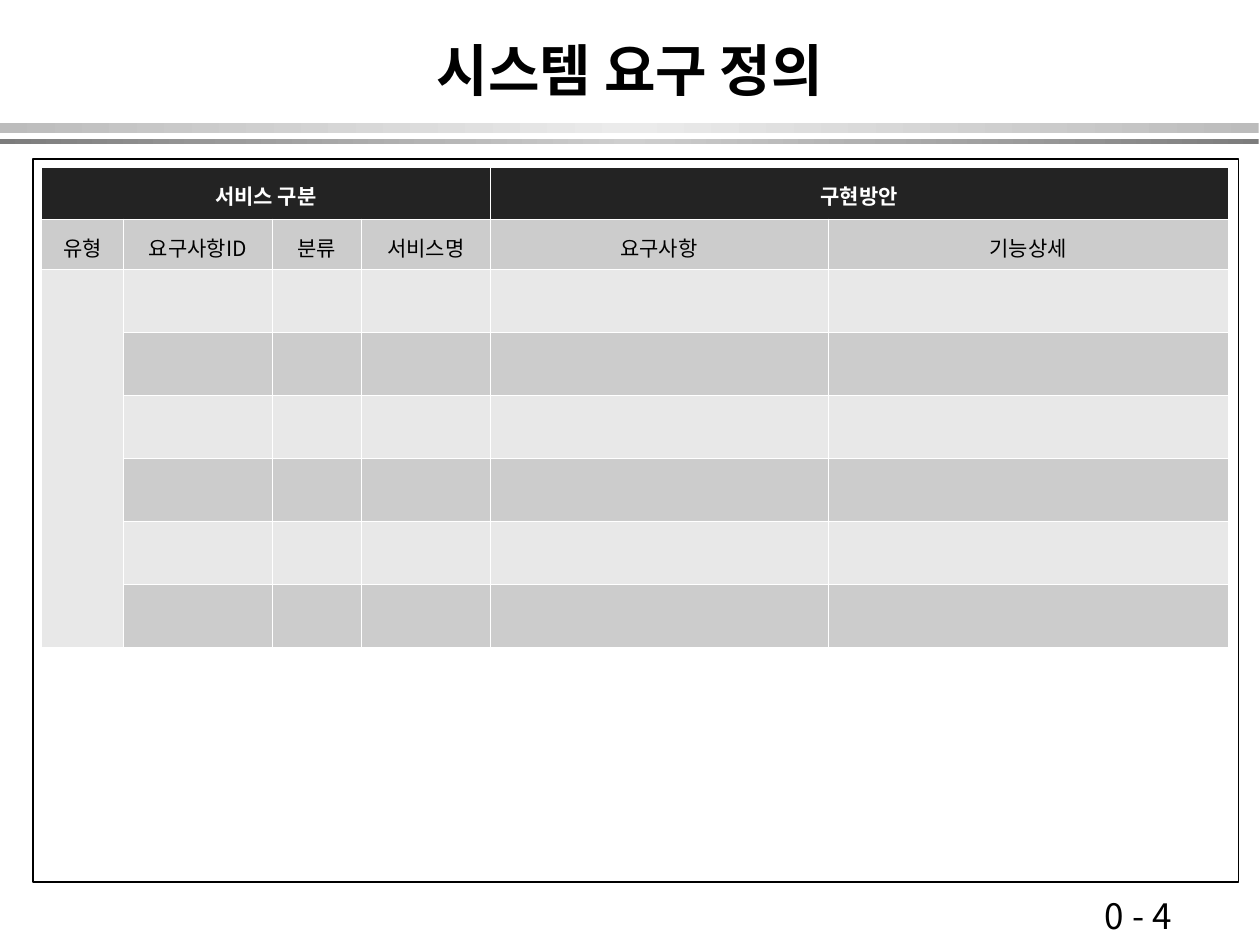
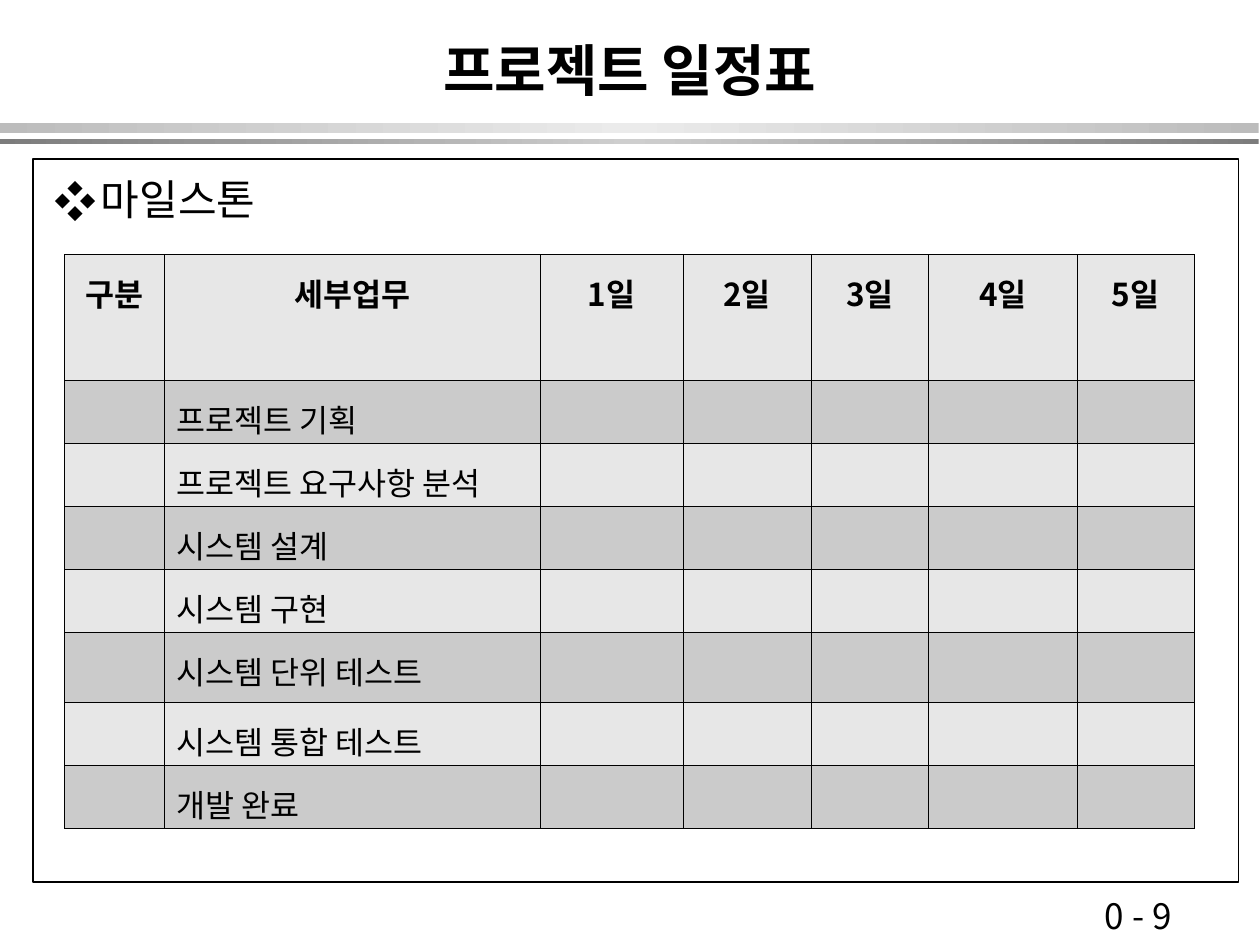
from copy import deepcopy

from lxml import etree
from pptx import Presentation
from pptx.dml.color import RGBColor
from pptx.enum.shapes import MSO_SHAPE
from pptx.enum.text import MSO_ANCHOR, MSO_AUTO_SIZE, PP_ALIGN
from pptx.oxml.ns import qn
from pptx.util import Inches, Pt

RECT = MSO_SHAPE.RECTANGLE
LEFT, CENTER = PP_ALIGN.LEFT, PP_ALIGN.CENTER
TOP, MIDDLE = MSO_ANCHOR.TOP, MSO_ANCHOR.MIDDLE
NO_FIT = MSO_AUTO_SIZE.NONE
CONTENT_LAYOUT, TITLE_LAYOUT = 1, 5

FONT = "Noto Sans CJK KR"
BLACK, WHITE = "000000", "FFFFFF"
BANDS = [(0.98, 0.08, "BCBCBC", "EBEBEB"), (1.1, 0.04, "7C7C7C", "CECECE")]
HAIRLINE = 0.23
TABLE_SPACING = 1.21


def rgb(value):
    return RGBColor.from_string(value)


def box(*lengths):
    return [Inches(n) for n in lengths]


def write(tf, text, size=18, color=BLACK, bold=False, align=LEFT, spacing=1.0):
    p = tf.paragraphs[0]
    p.alignment = align
    p.line_spacing = spacing
    p.space_before = Pt(0)
    r = p.add_run()
    r.text = text
    r.font.size = Pt(size)
    r.font.bold = bold
    r.font.color.rgb = rgb(color)
    r.font.name = FONT
    latin = r.font._element.find(qn("a:latin"))
    ea = etree.Element(qn("a:ea"), typeface=FONT)
    latin.addnext(ea)
    return p


def border(cell, edge, color, width):
    tcPr = cell._tc.get_or_add_tcPr()
    ln = etree.SubElement(tcPr, qn(f"a:ln{edge}"), w=str(Pt(width)))
    fill = etree.SubElement(ln, qn("a:solidFill"))
    etree.SubElement(fill, qn("a:srgbClr"), val=color)


class Deck:
    def __init__(self):
        self.prs = Presentation()
        self.prs.slide_width, self.prs.slide_height = box(10, 7.5)
        self.s = None

    def slide(self, title, page, layout):
        self.s = self.prs.slides.add_slide(self.prs.slide_layouts[layout])
        for band in BANDS:
            self.band(*band)
        self.frame()
        self.page_number(page)
        self.placeholder(0, (0.75, 0.17, 8.5, 0.75), title,
                         anchor=MIDDLE, size=32, bold=True, align=CENTER)

    def rect(self, *at):
        sp = self.s.shapes.add_shape(RECT, *box(*at))
        sp.shadow.inherit = False
        return sp

    def band(self, top, height, edge, middle):
        sp = self.rect(0, top, 9.99, height)
        sp.line.fill.background()
        sp.fill.gradient()
        sp.fill.gradient_angle = 0
        stops = sp._element.spPr.find(".//" + qn("a:gsLst"))
        stops.insert(1, deepcopy(stops[0]))
        for i, stop in enumerate(sp.fill.gradient_stops):
            stop.position = i / 2
            stop.color.rgb = rgb(middle if i == 1 else edge)

    def frame(self):
        sp = self.rect(0.26, 1.26, 9.57, 5.74)
        sp.fill.background()
        sp.line.color.rgb = rgb(BLACK)
        sp.line.width = Pt(1)

    def page_number(self, page):
        tf = self.s.shapes.add_textbox(*box(8.67, 7.05, 1.17, 0.43)).text_frame
        tf.word_wrap = True
        write(tf, page, size=20)

    def placeholder(self, idx, at, text, anchor=TOP, **style):
        sp = self.s.placeholders[idx]
        sp.left, sp.top, sp.width, sp.height = box(*at)
        tf = sp.text_frame
        tf.auto_size = NO_FIT
        tf.vertical_anchor = anchor
        return write(tf, text, **style)

    def bullet(self, text):
        p = self.placeholder(1, (0.33, 1.33, 9.42, 5.58), text, size=24)
        pPr = p._p.get_or_add_pPr()
        pPr.set("marL", str(Inches(0.37)))
        pPr.set("indent", str(Inches(-0.37)))
        color = etree.SubElement(pPr, qn("a:buClr"))
        etree.SubElement(color, qn("a:srgbClr"), val=BLACK)
        etree.SubElement(pPr, qn("a:buFont"), typeface=FONT)
        etree.SubElement(pPr, qn("a:buChar"), char="❖")

    def table(self, left, top, widths, heights, line, header_rule=HAIRLINE):
        at = box(left, top, sum(widths), sum(heights))
        table = self.s.shapes.add_table(len(heights), len(widths), *at).table
        table.first_row = table.horz_banding = False
        for column, width in zip(table.columns, widths):
            column.width = Inches(width)
        for row, height in zip(table.rows, heights):
            row.height = Inches(height)
        for i, row in enumerate(table.rows):
            for cell in row.cells:
                cell.margin_bottom = Inches(0.01)
                for edge in "LRTB":
                    is_rule = (i, edge) in ((0, "B"), (1, "T"))
                    border(cell, edge, line, header_rule if is_rule else HAIRLINE)
        return table

    def fill_row(self, table, row, color):
        for cell in table.rows[row].cells:
            cell.fill.solid()
            cell.fill.fore_color.rgb = rgb(color)

    def cell(self, table, row, col, text, **style):
        write(table.cell(row, col).text_frame, text, spacing=TABLE_SPACING, **style)


def requirements(deck):
    deck.slide("시스템 요구 정의", "0 - 4", TITLE_LAYOUT)
    heights = [0.41, 0.4] + [0.5] * 6
    table = deck.table(0.33, 1.33, [0.65, 1.18, 0.71, 1.02, 2.68, 3.18],
                       heights, WHITE, header_rule=0.75)
    deck.fill_row(table, 0, "232323")
    for row in range(1, len(heights)):
        deck.fill_row(table, row, "CCCCCC" if row % 2 else "E8E8E8")
    for first, last, text in [(0, 3, "서비스 구분"), (4, 5, "구현방안")]:
        table.cell(0, first).merge(table.cell(0, last))
        deck.cell(table, 0, first, text, size=12, color=WHITE, bold=True, align=CENTER)
    table.cell(2, 0).merge(table.cell(7, 0))
    labels = ["유형", "요구사항ID", "분류", "서비스명", "요구사항", "기능상세"]
    for col, text in enumerate(labels):
        deck.cell(table, 1, col, text, size=12, align=CENTER)


def schedule(deck):
    deck.slide("프로젝트 일정표", "0 - 9", CONTENT_LAYOUT)
    deck.bullet("마일스톤")
    heights = [1] + [0.5] * 4 + [0.55] + [0.5] * 2
    table = deck.table(0.51, 2.02, [0.79, 2.99, 1.13, 1.02, 0.93, 1.18, 0.93],
                       heights, BLACK)
    for row in range(len(heights)):
        deck.fill_row(table, row, "CBCBCB" if row % 2 else "E7E7E7")
    labels = ["구분", "세부업무"] + [f"{day}일" for day in range(1, 6)]
    for col, text in enumerate(labels):
        deck.cell(table, 0, col, text, bold=True, align=CENTER)
    tasks = ["프로젝트 기획", "프로젝트 요구사항 분석", "시스템 설계", "시스템 구현",
             "시스템 단위 테스트", "시스템 통합 테스트", "개발 완료"]
    for row, text in enumerate(tasks, 1):
        deck.cell(table, row, 1, text)


def main():
    deck = Deck()
    requirements(deck)
    schedule(deck)
    deck.prs.save("out.pptx")


if __name__ == "__main__":
    main()
